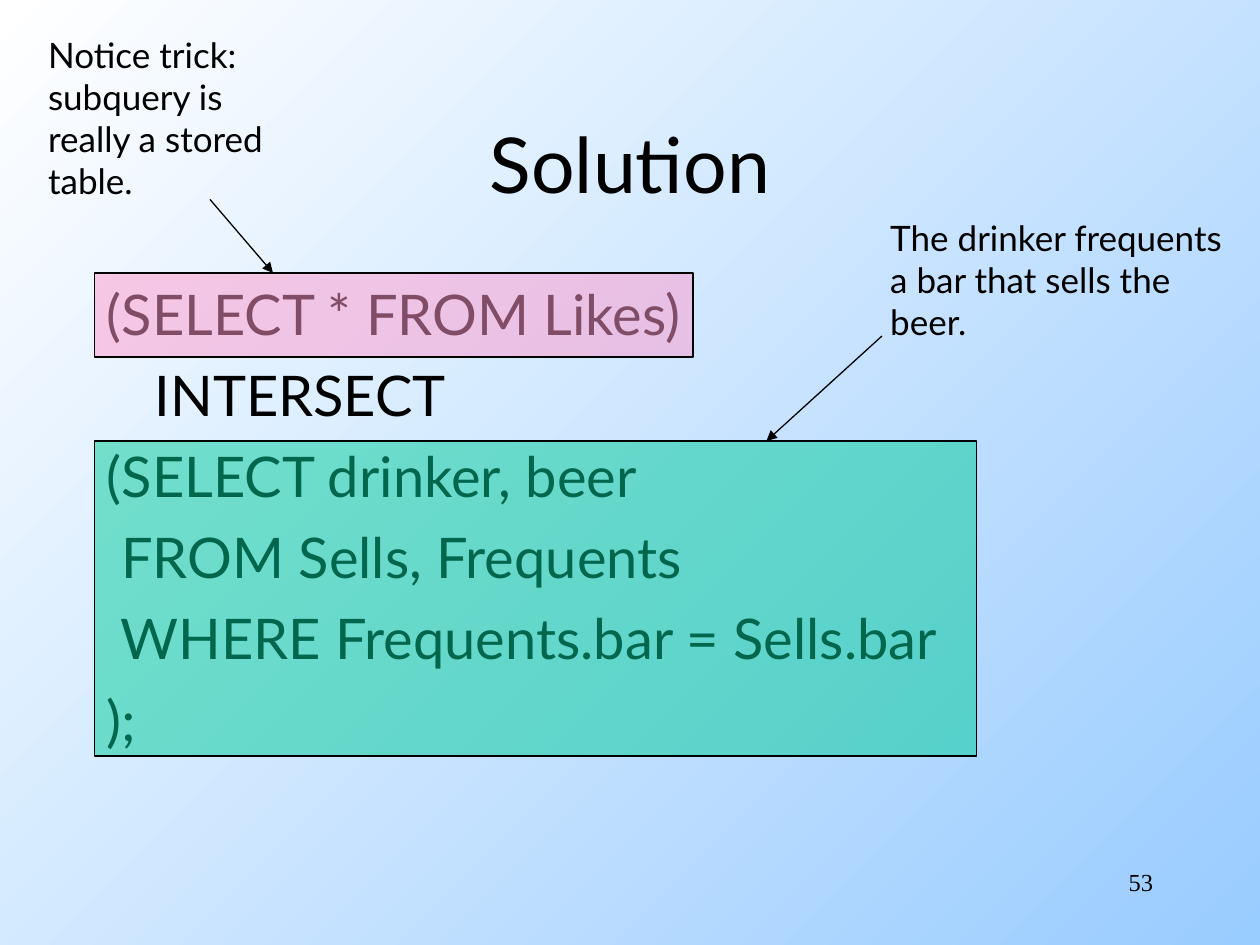
from pptx import Presentation
from pptx.dml.color import RGBColor
from pptx.enum.shapes import MSO_CONNECTOR, MSO_SHAPE
from pptx.enum.text import MSO_ANCHOR, PP_ALIGN
from pptx.oxml.ns import qn
from pptx.util import Inches, Pt
from lxml import etree

STRAIGHT = MSO_CONNECTOR.STRAIGHT
RECTANGLE = MSO_SHAPE.RECTANGLE
TOP, MIDDLE = MSO_ANCHOR.TOP, MSO_ANCHOR.MIDDLE
LEFT, CENTER, RIGHT = PP_ALIGN.LEFT, PP_ALIGN.CENTER, PP_ALIGN.RIGHT

BLACK = RGBColor(0x00, 0x00, 0x00)
WHITE = RGBColor(0xFF, 0xFF, 0xFF)
SKY = RGBColor(0x99, 0xCC, 0xFF)
PINK = RGBColor(0xFF, 0x99, 0xCC)
GREEN = RGBColor(0x00, 0xCC, 0x99)

FONT = "Lato"
NUMBER_FONT = "Times New Roman"
TITLE_ONLY = 5
COLUMNS, ROWS = 120, 90


class QuerySlide:
    """Places elements on a grid of 120 columns by 90 rows."""

    def __init__(self, deck):
        self.deck = deck
        self.slide = deck.slides.add_slide(deck.slide_layouts[TITLE_ONLY])

    def grid(self, column, row):
        return (round(self.deck.slide_width * column / COLUMNS),
                round(self.deck.slide_height * row / ROWS))

    def background(self, start, end):
        fill = self.slide.background.fill
        fill.gradient()
        fill.gradient_angle = 315
        for stop, position, color in zip(fill.gradient_stops, (0, 1), (start, end)):
            stop.position = position
            stop.color.rgb = color

    def set_text(self, box, lines, size, align=LEFT, anchor=TOP, font=FONT, before=0):
        frame = box.text_frame
        frame.word_wrap = True
        frame.vertical_anchor = anchor
        frame.text = "\n".join(lines)
        for para in frame.paragraphs:
            para.alignment = align
            para.space_before = Pt(before)
            for span in para.runs:
                span.font.name = font
                span.font.size = Pt(size)
                span.font.color.rgb = BLACK

    def title(self, text, column, row, width, height):
        box = self.slide.shapes.title
        box.left, box.top = self.grid(column, row)
        box.width, box.height = self.grid(width, height)
        self.set_text(box, [text], 44, CENTER, MIDDLE)

    def text(self, lines, column, row, width, height, size, **style):
        box = self.slide.shapes.add_textbox(*self.grid(column, row), *self.grid(width, height))
        self.set_text(box, lines, size, **style)
        return box

    def highlight(self, color, column, row, width, height):
        box = self.slide.shapes.add_shape(
            RECTANGLE, *self.grid(column, row), *self.grid(width, height))
        box.shadow.inherit = False
        box.fill.solid()
        box.fill.fore_color.rgb = color
        box.line.color.rgb = BLACK
        box.line.width = Pt(0.75)
        # Half transparent, so the query shows through
        color_node = box._element.spPr.find(qn("a:solidFill"))[0]
        etree.SubElement(color_node, qn("a:alpha"), val="50000")

    def arrow(self, start, end):
        connector = self.slide.shapes.add_connector(
            STRAIGHT, *self.grid(*start), *self.grid(*end))
        connector.line.color.rgb = BLACK
        connector.line.width = Pt(0.75)
        properties = connector._element.spPr
        etree.SubElement(properties.find(qn("a:ln")), qn("a:tailEnd"), type="triangle")
        etree.SubElement(properties, qn("a:effectLst"))


def main():
    deck = Presentation()
    deck.slide_width, deck.slide_height = Inches(10), Inches(7.5)
    page = QuerySlide(deck)
    page.background(WHITE, SKY)

    # Title and page number
    page.title("Solution", 9, 8, 102, 15)
    page.text(["53"], 86, 82, 25, 6, 14, align=RIGHT, font=NUMBER_FONT)

    # Query, with the set operator indented
    query = page.text(
        ["(SELECT * FROM Likes)", "INTERSECT", "(SELECT drinker, beer",
         " FROM Sells, Frequents", " WHERE Frequents.bar = Sells.bar", ");"],
        9, 26, 102, 54, 32, before=8)
    operator = query.text_frame.paragraphs[1]
    operator._p.get_or_add_pPr().set("marL", str(Inches(0.38)))

    # Second subquery and its remark
    page.highlight(GREEN, 9, 42, 84, 30)
    page.text(["The drinker frequents", "a bar that sells the", "beer."],
              83.6, 20, 36.4, 13.2, 20)
    page.arrow((84, 32), (73, 42))

    # First subquery and its remark
    page.highlight(PINK, 9, 26, 57, 8)
    page.text(["Notice trick:", "subquery is", "really a stored", "table."],
              3.4, 2.6, 24.7, 17.3, 20)
    page.arrow((20, 19), (26, 26))

    deck.save("out.pptx")


if __name__ == "__main__":
    main()
